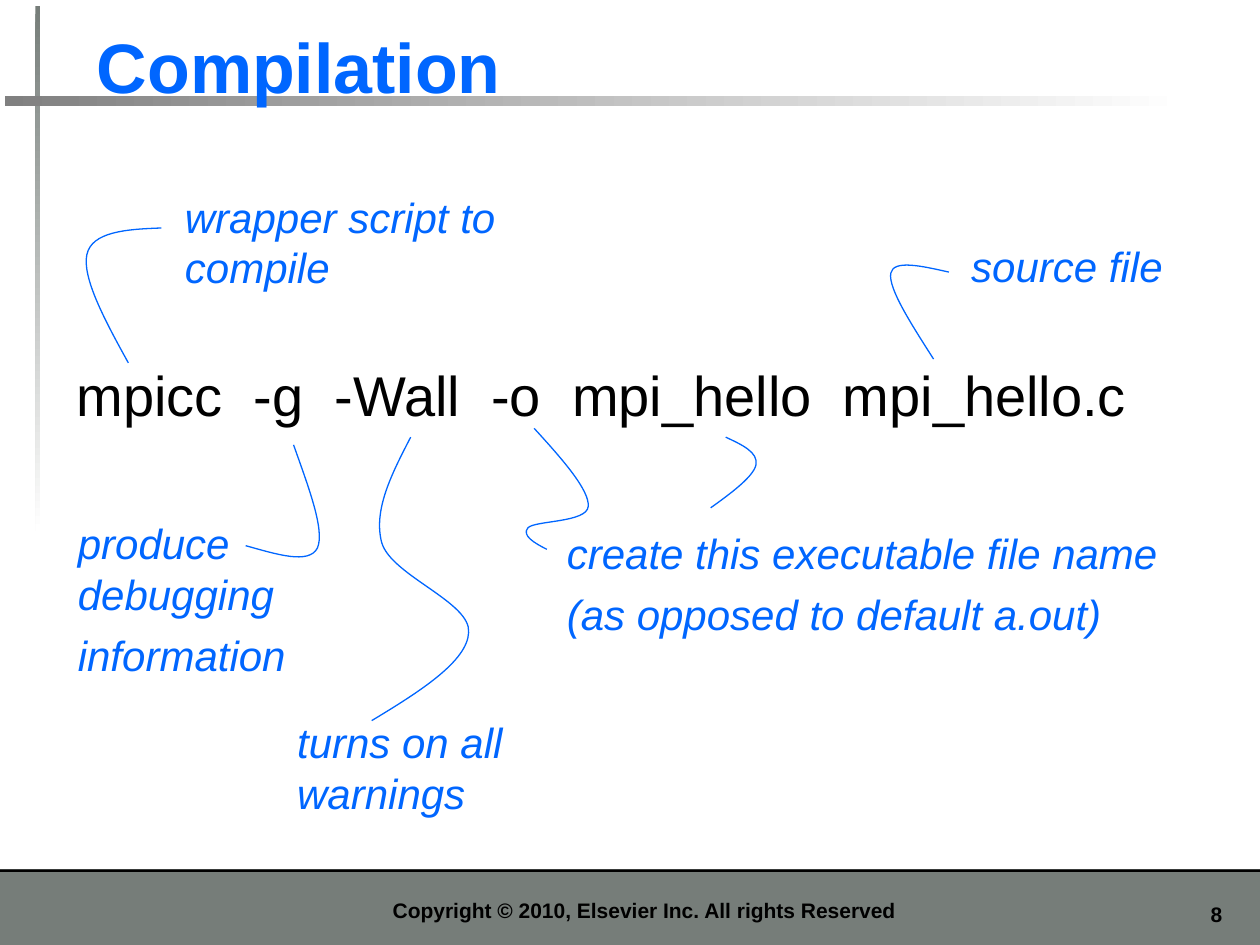
from lxml.etree import SubElement
from pptx import Presentation
from pptx.dml.color import RGBColor
from pptx.enum.shapes import MSO_SHAPE
from pptx.enum.text import MSO_ANCHOR, MSO_AUTO_SIZE, PP_ALIGN
from pptx.oxml.ns import qn
from pptx.util import Pt

BLUE, BLACK, WHITE = "0066FF", "000000", "FFFFFF"
SLATE, GRAY = "767D79", "808080"

# left, top, width, height, paragraphs; each paragraph is a list of lines
NOTES = [
    (98.6, 105.8, 280.8, 36, [["wrapper script to compile"]]),
    (162.7, 406.1, 234, 36, [["turns on all warnings"]]),
    (547.9, 133.9, 123.8, 36, [["source file"]]),
    (316.8, 298.1, 352.1, 71.3,
     [["create this executable file name"], ["(as opposed to default a.out)"]]),
    (37.4, 292.3, 133.2, 100.1, [["produce", "debugging"], ["information"]]),
]

# start point, then two control points and an end point for each curve
LEADERS = [
    [(92.2, 130.3), (72, 131), (52.6, 132.5), (49.7, 145.4),
     (46.8, 158.4), (59.8, 182.9), (73.4, 207.4)],
    [(542.2, 155.5), (526.3, 151.9), (510.5, 148.3), (509, 156.2),
     (507.6, 164.9), (520.6, 185), (533.5, 205.2)],
    [(140.4, 311.8), (158.4, 316.8), (176.4, 322.6), (181.4, 313.2),
     (185.8, 303.1), (176.4, 278.6), (167.8, 254.2)],
    [(212.4, 411.8), (239.8, 395.3), (267.1, 378), (267.8, 361.4),
     (269.3, 344.2), (223.9, 329), (218.2, 310.3),
     (213.1, 291.6), (223.9, 270.7), (234.7, 249.8)],
    [(406.1, 290.2), (418.3, 281.5), (430.6, 272.2), (432, 265.7),
     (433.4, 258.5), (424.1, 254.2), (414.7, 249.8)],
    [(312.5, 313.9), (305.3, 310.3), (298.1, 306), (301.7, 301.7),
     (305.3, 297.4), (335.5, 298.8), (336.2, 289.4),
     (337, 280.1), (321.1, 262.1), (305.3, 244.8)],
]


def color(value):
    return RGBColor.from_string(value)


def add_bar(page, left, top, width, height):
    bar = page.shapes.add_shape(MSO_SHAPE.RECTANGLE, Pt(left), Pt(top), Pt(width), Pt(height))
    bar.shadow.inherit = False
    bar.line.fill.background()
    return bar


def add_solid_bar(page, left, top, width, height, fill):
    bar = add_bar(page, left, top, width, height)
    bar.fill.solid()
    bar.fill.fore_color.rgb = color(fill)


def add_fading_bar(page, left, top, width, height, fill, angle):
    """Fade from fill to white; the angle runs counter-clockwise."""
    bar = add_bar(page, left, top, width, height)
    bar.fill.gradient()
    bar.fill.gradient_angle = angle
    for stop, value, position in zip(bar.fill.gradient_stops, (fill, WHITE), (0, 1)):
        stop.color.rgb = color(value)
        stop.position = position


def add_span(para, text, size, fill, bold=False, italic=False):
    span = para.add_run()
    span.text = text
    font = span.font
    font.name, font.size = "Arial", Pt(size)
    font.bold, font.italic = bold, italic
    font.color.rgb = color(fill)


def add_text(page, left, top, width, height, paragraphs, size, fill=BLACK, bold=False,
             italic=False, align=PP_ALIGN.LEFT, anchor=MSO_ANCHOR.TOP, wrap=True):
    box = page.shapes.add_textbox(Pt(left), Pt(top), Pt(width), Pt(height))
    frame = box.text_frame
    frame.word_wrap = wrap
    frame.vertical_anchor = anchor
    for index, lines in enumerate(paragraphs):
        para = frame.add_paragraph() if index else frame.paragraphs[0]
        para.alignment = align
        para.line_spacing = Pt(size * 1.2)
        para.space_before = Pt(6 if index else 0)
        for number, line in enumerate(lines):
            if number:
                para.add_line_break()
            add_span(para, line, size, fill, bold, italic)


def set_title(page, text):
    title = page.shapes.title
    title.left, title.top, title.width, title.height = Pt(48.2), Pt(9.4), Pt(652.3), Pt(55.4)
    frame = title.text_frame
    frame.auto_size = MSO_AUTO_SIZE.NONE
    frame.vertical_anchor = MSO_ANCHOR.BOTTOM
    para = frame.paragraphs[0]
    para.alignment = PP_ALIGN.LEFT
    add_span(para, text, 40, BLUE, bold=True)


def add_leader(page, points):
    """Draw the points as one line of joined cubic Bézier curves."""
    start, *rest = [(Pt(x), Pt(y)) for x, y in points]
    builder = page.shapes.build_freeform(*start)
    builder.add_line_segments(rest, close=False)
    leader = builder.convert_to_shape()
    leader.shadow.inherit = False
    leader.fill.background()
    leader.line.color.rgb = color(BLUE)
    leader.line.width = Pt(0.75)

    outline = leader._element.xpath(".//a:path")[0]
    segments = outline.findall(qn("a:lnTo"))
    for first in range(0, len(segments), 3):
        curve = SubElement(outline, qn("a:cubicBezTo"))
        for segment in segments[first:first + 3]:
            curve.append(segment[0])
            outline.remove(segment)


def main():
    deck = Presentation()
    deck.slide_width, deck.slide_height = Pt(720), Pt(540)
    page = deck.slides.add_slide(deck.slide_layouts[5])

    add_solid_bar(page, 0, 496.8, 720, 43.2, SLATE)
    add_solid_bar(page, 0, 496.8, 720, 1.5, BLACK)
    add_fading_bar(page, 20.2, 3.6, 2.7, 300, SLATE, 270)
    add_fading_bar(page, 2.9, 54.9, 674.6, 5.4, GRAY, 0)

    title = page.shapes.title._element
    title.getparent().append(title)  # in front of the bars
    set_title(page, "Compilation")

    add_text(page, 660.2, 511.9, 45.4, 21.6, [["8"]], 12, bold=True, align=PP_ALIGN.RIGHT)
    add_text(page, 82.1, 502.6, 572.4, 28.1,
             [["Copyright © 2010, Elsevier Inc. All rights Reserved"]], 12, bold=True,
             align=PP_ALIGN.CENTER, anchor=MSO_ANCHOR.BOTTOM)
    add_text(page, 36.7, 202.3, 646.6, 46.1,
             [["mpicc  -g  -Wall  -o  mpi_hello  mpi_hello.c"]], 32)
    for note in NOTES:
        add_text(page, *note, 24, BLUE, italic=True, wrap=False)
    for points in LEADERS:
        add_leader(page, points)

    deck.save("out.pptx")


if __name__ == "__main__":
    main()
